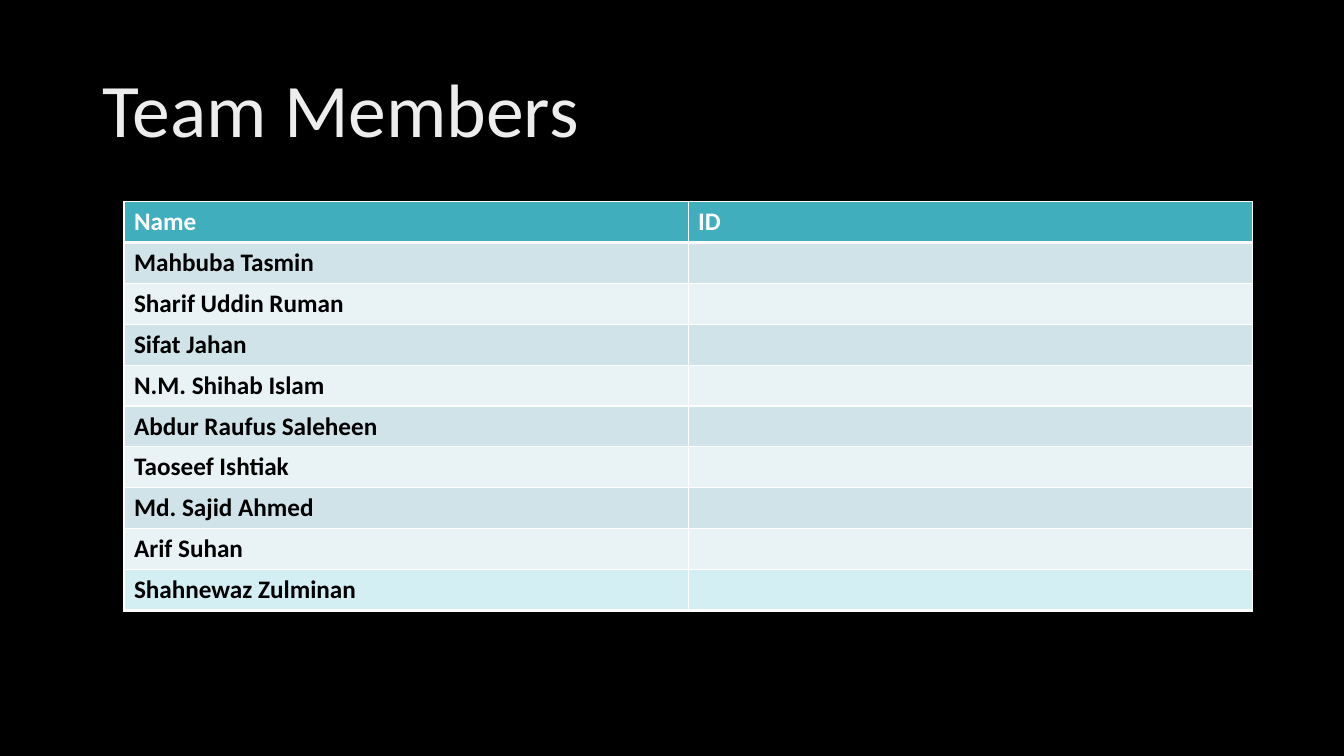
"""Build the team members slide."""
from lxml.etree import SubElement
from pptx import Presentation
from pptx.dml.color import RGBColor as RGB
from pptx.enum.text import MSO_ANCHOR as Anchor, PP_ALIGN as Align
from pptx.oxml.ns import qn
from pptx.util import Inches, Pt

TITLE = "Team Members"
HEAD = ["Name", "ID"]
NAMES = ["Mahbuba Tasmin", "Sharif Uddin Ruman", "Sifat Jahan",
         "N.M. Shihab Islam", "Abdur Raufus Saleheen", "Taoseef Ishtiak",
         "Md. Sajid Ahmed", "Arif Suhan"]
LAST = "Shahnewaz Zulminan"
COLORS = {"back": "000000", "title": "EDEDED", "white": "FFFFFF",
          "ink": "000000", "head": "41AEBD", "odd": "CFE3E8",
          "even": "E9F2F4", "last": "D4EFF4"}
FONT = "Calibri"
LEFT, TOP, WIDTH, ROW = 1.23, 2, 11.19, 3.65 / 9


def color(key):
    return RGB.from_string(COLORS[key])


def write(para, text, size, key, bold=False):
    run = para.add_run()
    run.text = text
    font = run.font
    font.name, font.size, font.bold = FONT, Pt(size), bold
    font.color.rgb = color(key)


def edge(cell, side, width):
    line = SubElement(cell._tc.get_or_add_tcPr(), qn(f"a:ln{side}"),
                      w=str(Pt(width)))
    fill = SubElement(line, qn("a:solidFill"))
    SubElement(fill, qn("a:srgbClr"), val=COLORS["white"])


def add_grid(slide, top, rows):
    """Add a table from (texts, fill, ink, bottom width) rows."""
    frame = slide.shapes.add_table(len(rows), len(HEAD), Inches(LEFT),
                                   Inches(top), Inches(WIDTH),
                                   Inches(ROW * len(rows)))
    grid = frame.table
    above = 1
    for r, (texts, fill, ink, below) in enumerate(rows):
        for c, text in enumerate(texts):
            cell = grid.cell(r, c)
            for side, width in zip("LRTB", (1, 1, above, below)):
                edge(cell, side, width)
            cell.fill.solid()
            cell.fill.fore_color.rgb = color(fill)
            para = cell.text_frame.paragraphs[0]
            if text:
                write(para, text, 18, ink, True)
            else:
                para.font.size = Pt(18)
        above = below


def main():
    deck = Presentation()
    deck.slide_width, deck.slide_height = Inches(13.33), Inches(7.5)
    slide = deck.slides.add_slide(deck.slide_layouts[5])
    slide.background.fill.solid()
    slide.background.fill.fore_color.rgb = color("back")

    title = slide.shapes.title
    title.left, title.top = Inches(0.92), Inches(0.4)
    title.width, title.height = Inches(11.5), Inches(1.45)
    title.text_frame.vertical_anchor = Anchor.MIDDLE
    para = title.text_frame.paragraphs[0]
    para.alignment, para.line_spacing = Align.LEFT, 0.9
    write(para, TITLE, 54, "title")

    rows = [(HEAD, "head", "white", 3)]
    for i, name in enumerate(NAMES):
        rows.append(((name, ""), ("odd", "even")[i % 2], "ink", 1))
    add_grid(slide, TOP, rows)
    add_grid(slide, TOP + ROW * len(rows), [((LAST, ""), "last", "ink", 3)])
    deck.save("out.pptx")


if __name__ == "__main__":
    main()
